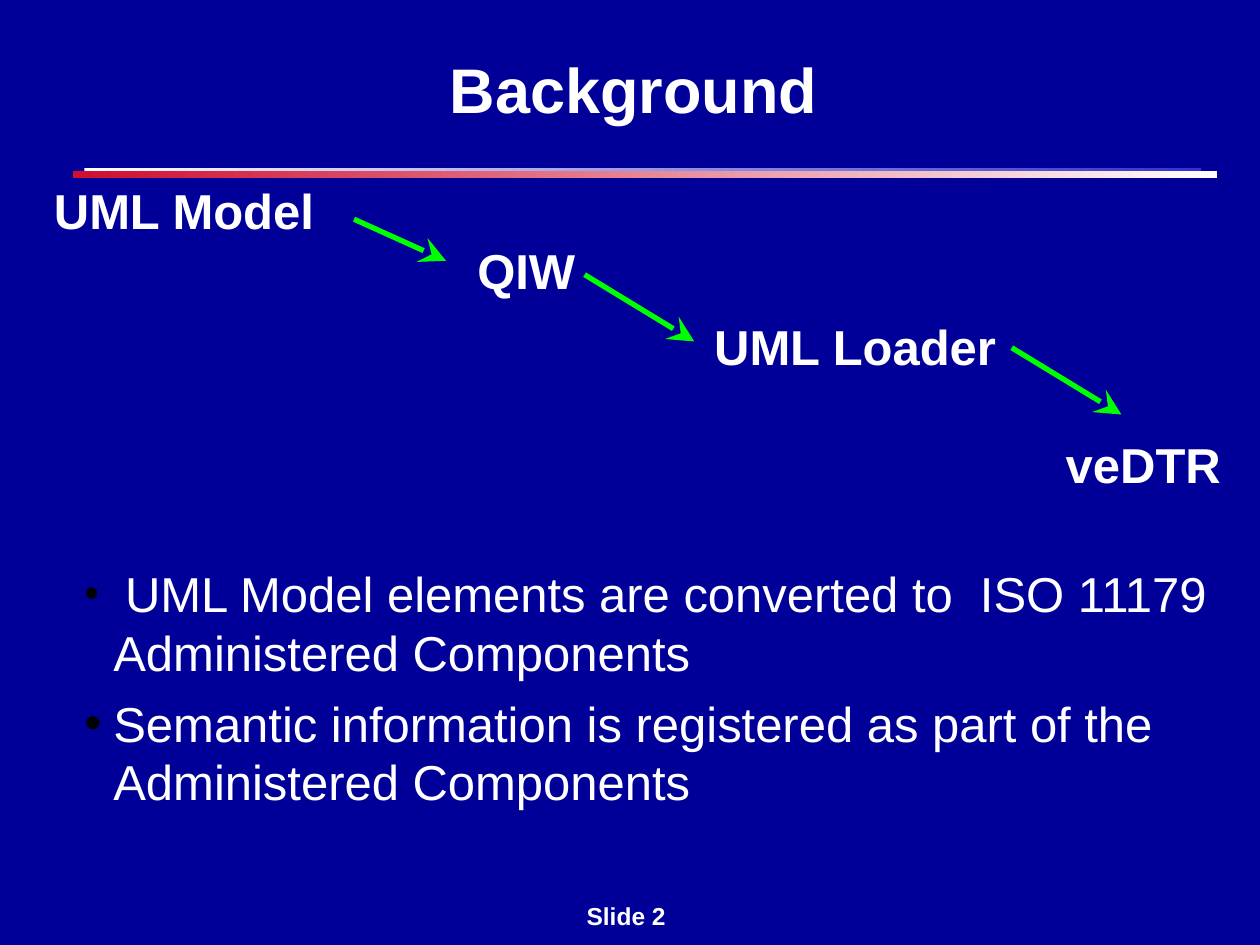
from lxml import etree
from pptx import Presentation
from pptx.dml.color import RGBColor
from pptx.enum.shapes import MSO_CONNECTOR, MSO_SHAPE
from pptx.enum.text import MSO_ANCHOR, MSO_AUTO_SIZE, PP_ALIGN
from pptx.oxml.ns import qn
from pptx.util import Inches, Pt

NAVY = RGBColor(0x00, 0x00, 0x99)
WHITE = RGBColor(0xFF, 0xFF, 0xFF)
RED = RGBColor(0xCF, 0x0E, 0x30)
BLUE = RGBColor(0x33, 0x33, 0xCC)
GREEN = RGBColor(0x00, 0xFF, 0x00)


def style(font, size, bold):
    font.name = "Arial"
    font.size = Pt(size)
    font.bold = bold
    font.color.rgb = WHITE


def place(shape, left, top, width, height):
    shape.left, shape.top = Inches(left), Inches(top)
    shape.width, shape.height = Inches(width), Inches(height)


presentation = Presentation()
presentation.slide_width = Inches(10)
presentation.slide_height = Inches(7.5)
slide = presentation.slides.add_slide(presentation.slide_layouts[1])
slide.background.fill.solid()
slide.background.fill.fore_color.rgb = NAVY

rules = [
    (0.58, 1.36, 9.08, 0.05, RED, WHITE),
    (0.67, 1.33, 8.86, 0.03, WHITE, BLUE),
]
for left, top, width, height, start_color, end_color in rules:
    rule = slide.shapes.add_shape(
        MSO_SHAPE.RECTANGLE, Inches(left), Inches(top), Inches(width), Inches(height)
    )
    rule.shadow.inherit = False
    rule.line.fill.background()
    rule.fill.gradient()
    rule.fill.gradient_angle = 0
    for stop, color in zip(rule.fill.gradient_stops, (start_color, end_color)):
        stop.color.rgb = color

labels = [
    ("UML Model", 0.33, 1.38, 2.27, 0.57, 28, PP_ALIGN.LEFT),
    ("QIW", 3.69, 1.86, 0.99, 0.57, 28, PP_ALIGN.LEFT),
    ("UML Loader", 5.57, 2.46, 2.44, 0.57, 28, PP_ALIGN.LEFT),
    ("veDTR", 8.36, 3.4, 1.45, 0.57, 28, PP_ALIGN.LEFT),
    ("Slide 2", 4.22, 7.1, 1.5, 0.34, 14, PP_ALIGN.CENTER),
]
for text, left, top, width, height, size, alignment in labels:
    label = slide.shapes.add_textbox(
        Inches(left), Inches(top), Inches(width), Inches(height)
    )
    label.text_frame.word_wrap = False
    paragraph = label.text_frame.paragraphs[0]
    paragraph.text = text
    paragraph.alignment = alignment
    style(paragraph.font, size, True)

arrows = [(2.81, 1.74, 3.54, 2.07), (4.64, 2.18, 5.51, 2.71), (8.03, 2.76, 8.9, 3.29)]
for ends in arrows:
    arrow = slide.shapes.add_connector(
        MSO_CONNECTOR.STRAIGHT, *[Inches(value) for value in ends]
    )
    arrow.line.color.rgb = GREEN
    arrow.line.width = Pt(3)
    properties = arrow.element.spPr
    etree.SubElement(
        properties.find(qn("a:ln")), qn("a:tailEnd"), type="stealth", w="lg", len="lg"
    )
    etree.SubElement(properties, qn("a:effectLst"))

title = slide.shapes.title
place(title, 0.53, 0, 9, 1.4)
title.text_frame.vertical_anchor = MSO_ANCHOR.MIDDLE
title.text_frame.auto_size = MSO_AUTO_SIZE.NONE
paragraph = title.text_frame.paragraphs[0]
paragraph.text = "Background"
paragraph.alignment = PP_ALIGN.CENTER
style(paragraph.font, 36, True)

body = slide.placeholders[1]
place(body, 0.57, 4.42, 9.18, 2.63)
frame = body.text_frame
frame.auto_size = MSO_AUTO_SIZE.NONE
frame.vertical_anchor = MSO_ANCHOR.TOP
bullets = [
    [
        (" ", 24, True),
        ("UML Model elements are converted to  ISO 11179 Administered Components", 28, False),
    ],
    [("Semantic information is registered as part of the Administered Components", 28, False)],
]
for index, runs in enumerate(bullets):
    paragraph = frame.add_paragraph() if index else frame.paragraphs[0]
    paragraph.space_before = Pt(7)
    paragraph.line_spacing = 1.0
    properties = paragraph._p.get_or_add_pPr()
    properties.set("marL", str(Inches(0.23)))
    properties.set("indent", str(-Inches(0.23)))
    bullet_color = etree.SubElement(properties, qn("a:buClr"))
    etree.SubElement(bullet_color, qn("a:srgbClr"), val="000000")
    etree.SubElement(properties, qn("a:buFont"), typeface="Arial")
    etree.SubElement(properties, qn("a:buChar"), char="•")
    for text, size, bold in runs:
        run = paragraph.add_run()
        run.text = text
        style(run.font, size, bold)

presentation.save("out.pptx")
